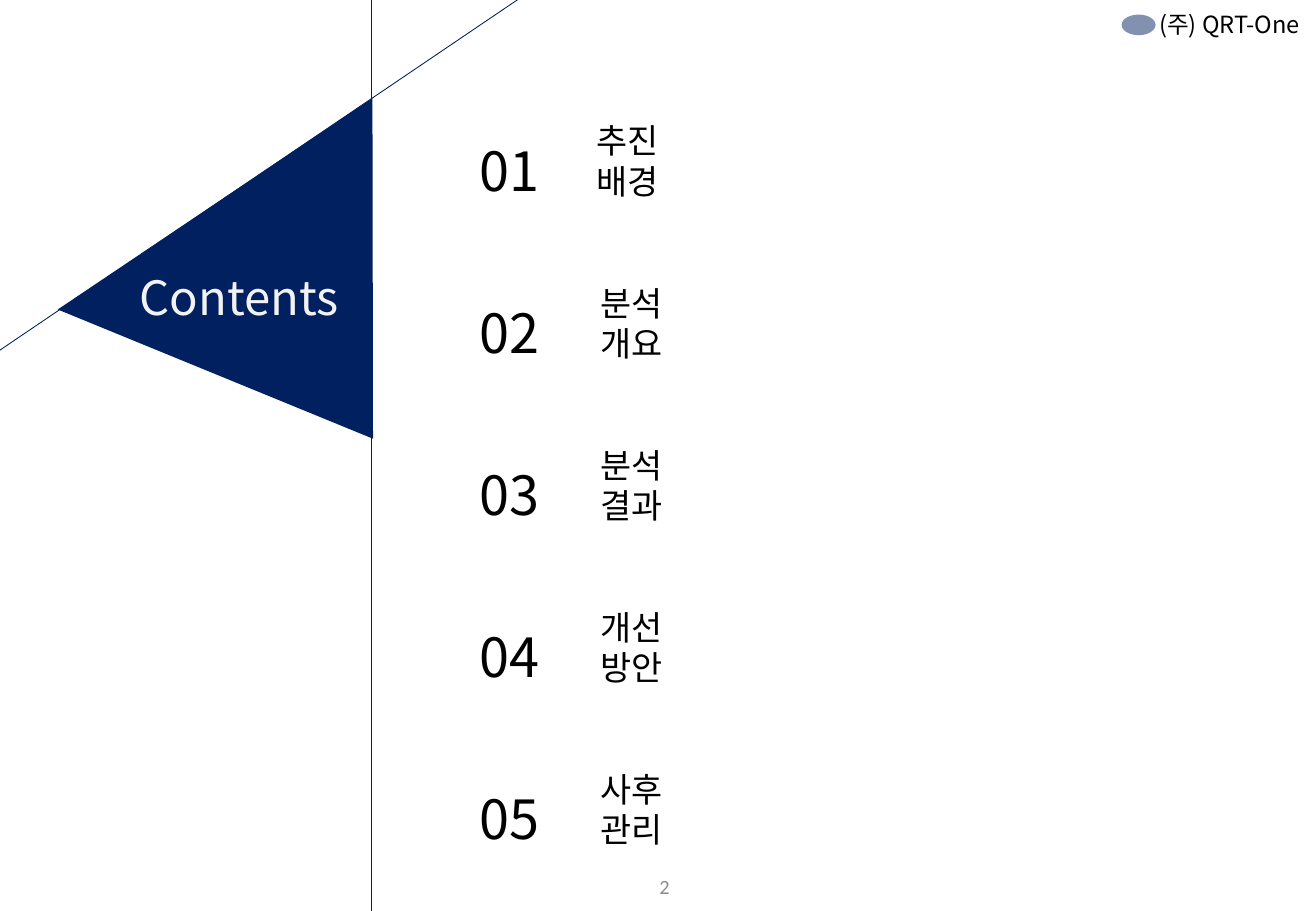
from dataclasses import dataclass

from lxml.etree import SubElement
from pptx import Presentation
from pptx.dml.color import RGBColor
from pptx.enum.shapes import MSO_CONNECTOR, MSO_SHAPE
from pptx.enum.text import MSO_ANCHOR, MSO_AUTO_SIZE, PP_ALIGN
from pptx.oxml.ns import qn
from pptx.util import Inches, Pt

NAVY = "002060"
BLACK = "000000"
SANS = "Noto Sans CJK KR"
TOPICS = ["추진 배경", "분석 개요", "분석 결과", "개선 방안", "사후 관리"]
FIRST_TOP = 0.94
STEP = 1.335


@dataclass
class Box:
    left: float
    top: float
    width: float
    height: float

    def lengths(self) -> list:
        return [Inches(n) for n in (self.left, self.top, self.width, self.height)]


@dataclass
class Look:
    size: int
    color: str = BLACK
    font: str = SANS
    align: PP_ALIGN = PP_ALIGN.LEFT
    anchor: MSO_ANCHOR = MSO_ANCHOR.TOP
    spacing: float = 1.0
    grow: bool = True


def paint(target, color: str) -> None:
    """Give a fill, line or font format its colour."""
    target.rgb = RGBColor.from_string(color)


def write(shape, text: str, look: Look) -> None:
    frame = shape.text_frame
    frame.text = text
    frame.word_wrap = True
    frame.vertical_anchor = look.anchor
    frame.auto_size = (MSO_AUTO_SIZE.SHAPE_TO_FIT_TEXT if look.grow
                       else MSO_AUTO_SIZE.NONE)
    for line in frame.paragraphs:
        line.alignment = look.align
        line.line_spacing = look.spacing
        for run in line.runs:
            run.font.size = Pt(look.size)
            run.font.name = look.font
            paint_font(run.font, look.color)
            SubElement(run.font._element, qn("a:ea"), typeface=look.font)


def paint_font(font, color: str) -> None:
    font.fill.solid()
    paint(font.fill.fore_color, color)


def add_text(slide, box: Box, text: str, look: Look) -> None:
    write(slide.shapes.add_textbox(*box.lengths()), text, look)


def add_solid(slide, kind: MSO_SHAPE, box: Box, color: str, turn: float = 0) -> None:
    shape = slide.shapes.add_shape(kind, *box.lengths())
    shape.shadow.inherit = False
    shape.rotation = turn
    shape.fill.solid()
    paint(shape.fill.fore_color, color)
    shape.line.fill.background()


def add_line(slide, start: tuple[float, float], end: tuple[float, float]) -> None:
    ends = [Inches(n) for n in (*start, *end)]
    line = slide.shapes.add_connector(MSO_CONNECTOR.STRAIGHT, *ends)
    line.line.width = Pt(0.5)
    paint(line.line.color, NAVY)
    SubElement(line._element.spPr, qn("a:effectLst"))


def main() -> None:
    deck = Presentation()
    deck.slide_width, deck.slide_height = Inches(10.83), Inches(7.5)
    slide = deck.slides.add_slide(deck.slide_layouts[5])

    add_solid(slide, MSO_SHAPE.ISOSCELES_TRIANGLE, Box(0.86, 1.48, 3.12, 2.33),
              NAVY, 146.1)
    title = slide.shapes.title
    title.left, title.top, title.width, title.height = Box(1.05, 2.16, 2.02, 0.57).lengths()
    write(title, "Contents", Look(28, "F2F2F2"))
    # The title is the first shape of the layout, so lift it above the triangle.
    slide.shapes._spTree.append(title._element)

    add_line(slide, (3.06, -0.34), (3.06, 7.72))
    add_line(slide, (4.61, -0.24), (-0.44, 3.18))

    numbers = "\n".join(f"{n:02}" for n in range(1, len(TOPICS) + 1))
    add_text(slide, Box(3.85, 0.28, 0.76, 6.62), numbers, Look(32, spacing=2.5))
    for i, topic in enumerate(TOPICS):
        left = 4.84 if i else 4.81
        add_text(slide, Box(left, FIRST_TOP + i * STEP, 1.24, 0.44), topic, Look(20))

    add_text(slide, Box(9.44, 0.03, 1.41, 0.34), "(주) QRT-One",
             Look(14, align=PP_ALIGN.JUSTIFY))
    add_solid(slide, MSO_SHAPE.OVAL, Box(9.23, 0.12, 0.28, 0.17), "8391B0")
    add_text(slide, Box(3.17, 7.1, 2.44, 0.4), "2",
             Look(12, "8C8C8C", "Calibri", PP_ALIGN.RIGHT, MSO_ANCHOR.MIDDLE, grow=False))

    deck.save("out.pptx")


if __name__ == "__main__":
    main()
